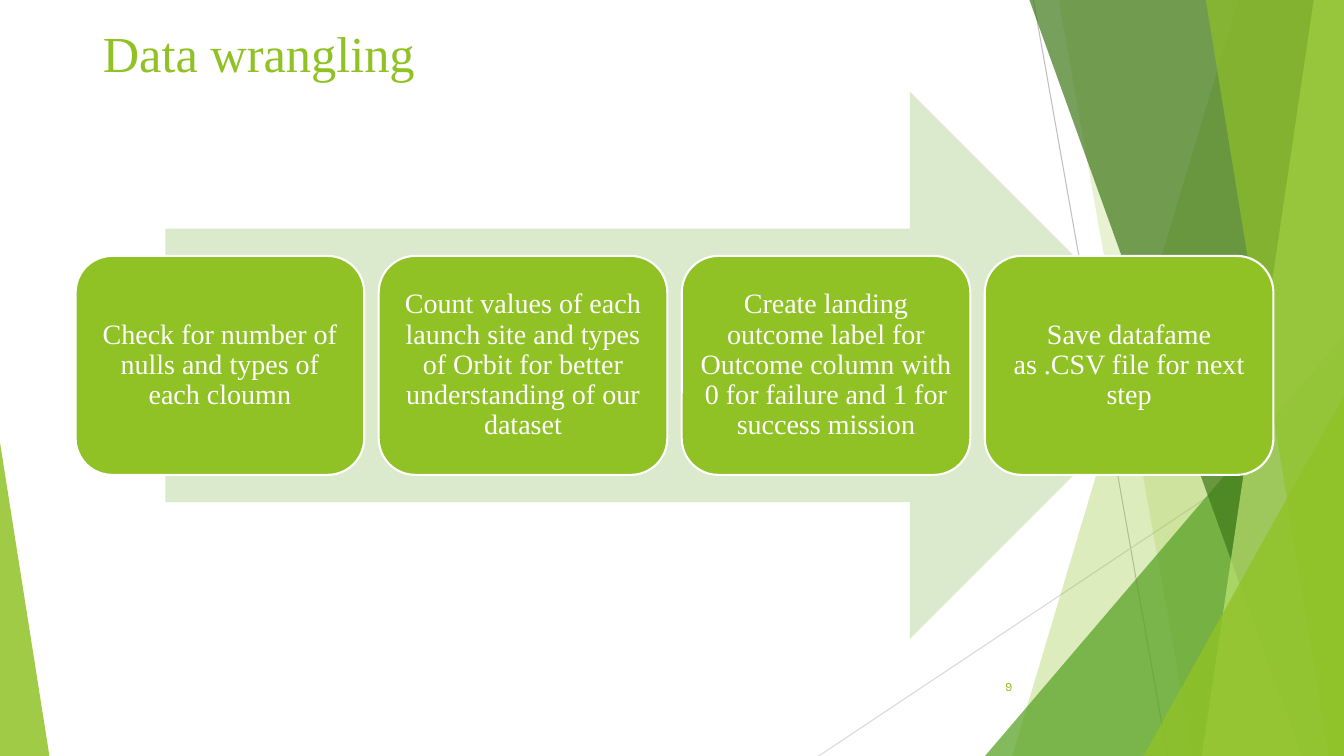
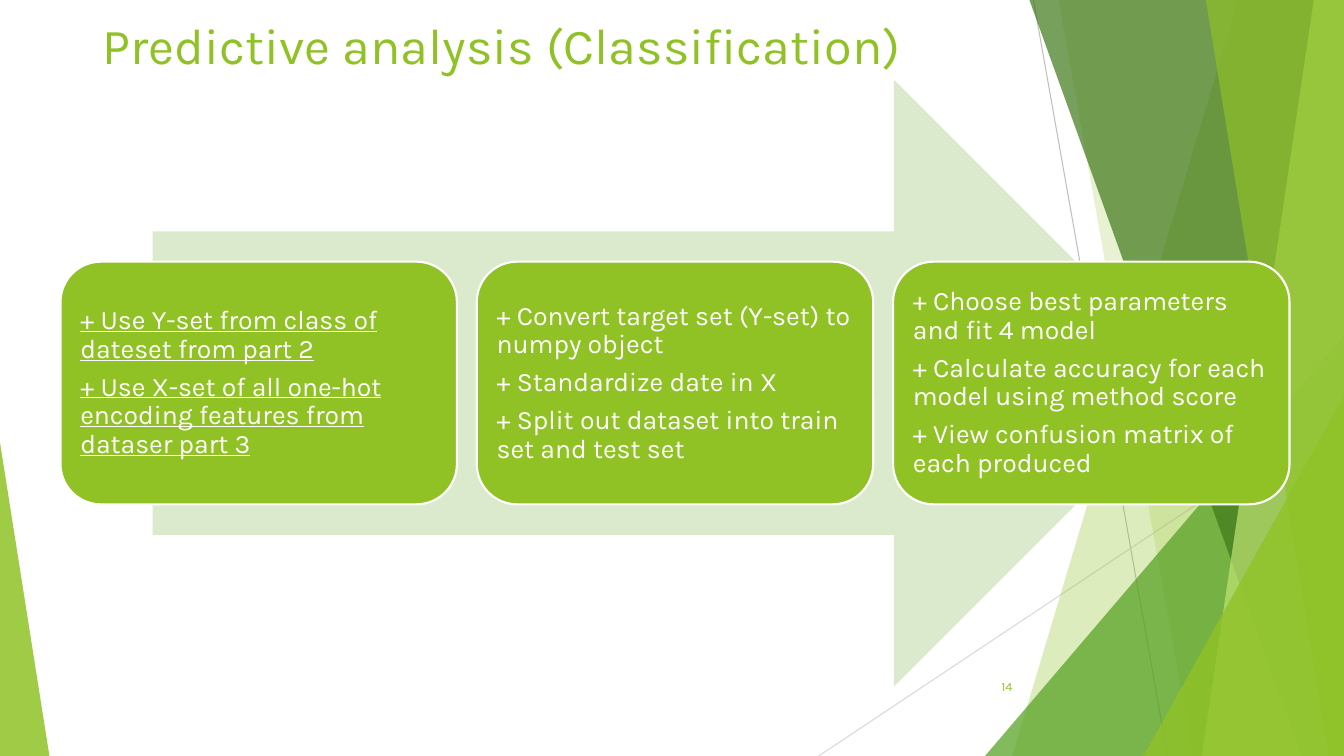
"""Build two process slides with a shared faceted green layout."""
import pptx
import pptx.dml.color
import pptx.enum.shapes
import pptx.enum.text
import pptx.oxml
import pptx.oxml.ns
import pptx.util

RGBColor = pptx.dml.color.RGBColor
Inches = pptx.util.Inches
Pt = pptx.util.Pt
PRESET = pptx.enum.shapes.MSO_SHAPE
ALIGN = pptx.enum.text.PP_ALIGN
ANCHOR = pptx.enum.text.MSO_ANCHOR

GREEN = RGBColor(0x90, 0xC2, 0x26)
LEAF = RGBColor(0x54, 0xA0, 0x21)
FOREST = RGBColor(0x3F, 0x78, 0x19)
LIME = RGBColor(0xC0, 0xE4, 0x74)
PALE = RGBColor(0xDB, 0xE9, 0xCD)
GREY = RGBColor(0xBF, 0xBF, 0xBF)
LIGHT_GREY = RGBColor(0xD9, 0xD9, 0xD9)
WHITE = RGBColor(0xFF, 0xFF, 0xFF)

SLIDE_W, SLIDE_H = 13.33, 7.5
SERIF, SANS = "Times New Roman", "Karla"

RULES = [((10.25, 0), (11.58, SLIDE_H), GREY),
         ((SLIDE_W, 4.03), (8.12, SLIDE_H), LIGHT_GREY)]

# Wedges give top and bottom x; triangles give left, top, width and apex.
FACETS = [
    ("wedge", (12.28, 10.04), GREEN, 30),
    ("wedge", (10.5, 11.83), GREEN, 20),
    ("triangle", (9.77, 3.33, 3.56, 1), LEAF, 72),
    ("wedge", (10.21, 12.91), FOREST, 70),
    ("wedge", (13.03, 11.92), LIME, 70),
    ("wedge", (11.96, 13.18), GREEN, 65),
    ("triangle", (11.34, 3.93, 1.99, 1), GREEN, 80),
    ("triangle", (0, 4.39, 0.49, 0), GREEN, 85),
]

SLIDES = [
    {"title": "Data wrangling", "title_top": 0.17, "number": "9",
     "font": SERIF, "size": 20, "align": ALIGN.CENTER, "underlined": (),
     "box": (0.75, 0.91, 11.88, 5.43),
     "steps": [
         ["Check for number of nulls and types of each cloumn"],
         ["Count values of each launch site and types of Orbit for better "
          "understanding of our dataset"],
         ["Create landing outcome label for Outcome column with 0 for failure "
          "and 1 for success mission"],
         ["Save datafame as .CSV file for next step"]]},
    {"title": "Predictive analysis (Classification)", "title_top": 0.09,
     "number": "14", "font": SANS, "size": 19, "align": ALIGN.LEFT,
     "underlined": (0,), "box": (0.6, 0.79, 12.19, 6.02),
     "steps": [
         ["+ Use Y-set from class of dateset from part 2",
          "+ Use X-set of all one-hot encoding features from dataser part 3"],
         ["+ Convert target set (Y-set) to numpy object",
          "+ Standardize date in X",
          "+ Split out dataset into train set and test set"],
         ["+ Choose best parameters and fit 4 model",
          "+ Calculate accuracy for each model using method score",
          "+ View confusion matrix of each produced"]]},
]


def paint(shape, color, opacity=100):
    """Give a shape a flat fill, without line or shadow."""
    shape.shadow.inherit = False
    shape.line.fill.background()
    shape.fill.solid()
    shape.fill.fore_color.rgb = color
    if opacity < 100:
        tint = shape.fill._xPr.find(".//" + pptx.oxml.ns.qn("a:srgbClr"))
        alpha = pptx.oxml.parse_xml(
            f'<a:alpha {pptx.oxml.ns.nsdecls("a")} val="{opacity * 1000}"/>')
        tint.append(alpha)


def style_text(paragraph, font_name, size, color, align):
    """Format a paragraph and its runs."""
    paragraph.alignment = align
    for run in paragraph.runs:
        run.font.name = font_name
        run.font.size = Pt(size)
        run.font.color.rgb = color


def add_rule(shapes, start, end, color):
    """Draw a thin straight line."""
    rule = shapes.add_connector(
        pptx.enum.shapes.MSO_CONNECTOR.STRAIGHT,
        *(Inches(value) for value in start + end))
    rule.line.color.rgb = color
    rule.line.width = Pt(0.75)
    rule.element.spPr.append(pptx.oxml.parse_xml(
        f'<a:effectLst {pptx.oxml.ns.nsdecls("a")}/>'))
    return rule


def add_facet(shapes, kind, geometry, color, opacity):
    """Draw a translucent wedge or triangle."""
    if kind == "wedge":
        top_x, bottom_x = geometry
        outline = [(Inches(x), Inches(y)) for x, y in (
            (SLIDE_W, 0), (SLIDE_W, SLIDE_H), (bottom_x, SLIDE_H))]
        builder = shapes.build_freeform(Inches(top_x), 0)
        builder.add_line_segments(outline, close=True)
        facet = builder.convert_to_shape()
    else:
        left, top, width, apex = geometry
        facet = shapes.add_shape(
            PRESET.ISOSCELES_TRIANGLE, Inches(left), Inches(top),
            Inches(width), Inches(SLIDE_H - top))
        facet.adjustments[0] = apex
    paint(facet, color, opacity)
    return facet


def decorate_layout(layout, slide):
    """Draw the facets on a slide and move them to its layout."""
    for placeholder in list(layout.placeholders):
        if placeholder.placeholder_format.idx != 0:
            placeholder.element.getparent().remove(placeholder.element)
    decor = [add_rule(slide.shapes, *rule) for rule in RULES]
    decor += [add_facet(slide.shapes, *facet) for facet in FACETS]
    for position, part in enumerate(decor, start=2):
        layout.shapes.element.insert(position, part.element)


def add_heading(slide, text, top, font_name):
    """Fill and place the title placeholder."""
    heading = slide.shapes.title
    heading.left, heading.top = Inches(0.92), Inches(top)
    heading.width, heading.height = Inches(11.5), Inches(1.45)
    frame = heading.text_frame
    frame.text = text
    frame.vertical_anchor = ANCHOR.TOP
    style_text(frame.paragraphs[0], font_name, 36, GREEN, ALIGN.LEFT)


def add_page_number(slide, number):
    """Place the page number at the lower right."""
    frame = slide.shapes.add_textbox(
        Inches(9.39), Inches(6.61), Inches(0.75), Inches(0.4)).text_frame
    frame.word_wrap = True
    frame.vertical_anchor = ANCHOR.MIDDLE
    frame.text = number
    style_text(frame.paragraphs[0], SANS, 9, GREEN, ALIGN.RIGHT)


def add_step(slide, box, lines, content, underlined):
    """Draw one rounded step card with its text."""
    card = slide.shapes.add_shape(
        PRESET.ROUNDED_RECTANGLE, *(Inches(value) for value in box))
    paint(card, GREEN)
    card.line.color.rgb = WHITE
    card.line.width = Pt(1.5)
    frame = card.text_frame
    frame.word_wrap = True
    frame.vertical_anchor = ANCHOR.MIDDLE
    frame.margin_left = frame.margin_right = Inches(0.08)
    frame.margin_top = frame.margin_bottom = Inches(0.08)
    frame.text = "\n".join(lines)
    for paragraph in frame.paragraphs:
        paragraph.line_spacing = 0.9
        paragraph.space_after = Pt(6.5)
        style_text(paragraph, content["font"], content["size"], WHITE,
                   content["align"])
        if underlined:
            for run in paragraph.runs:
                run.font.underline = True


def add_process(slide, content):
    """Lay out the arrow and its evenly spaced step cards in a box."""
    left, top, width, height = content["box"]
    arrow = slide.shapes.add_shape(
        PRESET.RIGHT_ARROW, Inches(left + 0.075 * width), Inches(top),
        Inches(0.85 * width), Inches(height))
    paint(arrow, PALE)
    steps = content["steps"]
    gap_share = 0.05
    card_width = width / (len(steps) + gap_share * (len(steps) - 1))
    pitch = card_width * (1 + gap_share)
    for index, lines in enumerate(steps):
        card_box = (left + index * pitch, top + 0.3 * height,
                    card_width, 0.4 * height)
        add_step(slide, card_box, lines, content,
                 index in content["underlined"])


def main():
    """Build and save the presentation."""
    deck = pptx.Presentation()
    deck.slide_width, deck.slide_height = Inches(SLIDE_W), Inches(SLIDE_H)
    layout = deck.slide_layouts[5]
    for index, content in enumerate(SLIDES):
        slide = deck.slides.add_slide(layout)
        if index == 0:
            decorate_layout(layout, slide)
        add_heading(slide, content["title"], content["title_top"],
                    content["font"])
        add_process(slide, content)
        add_page_number(slide, content["number"])
    deck.save("out.pptx")


if __name__ == "__main__":
    main()
